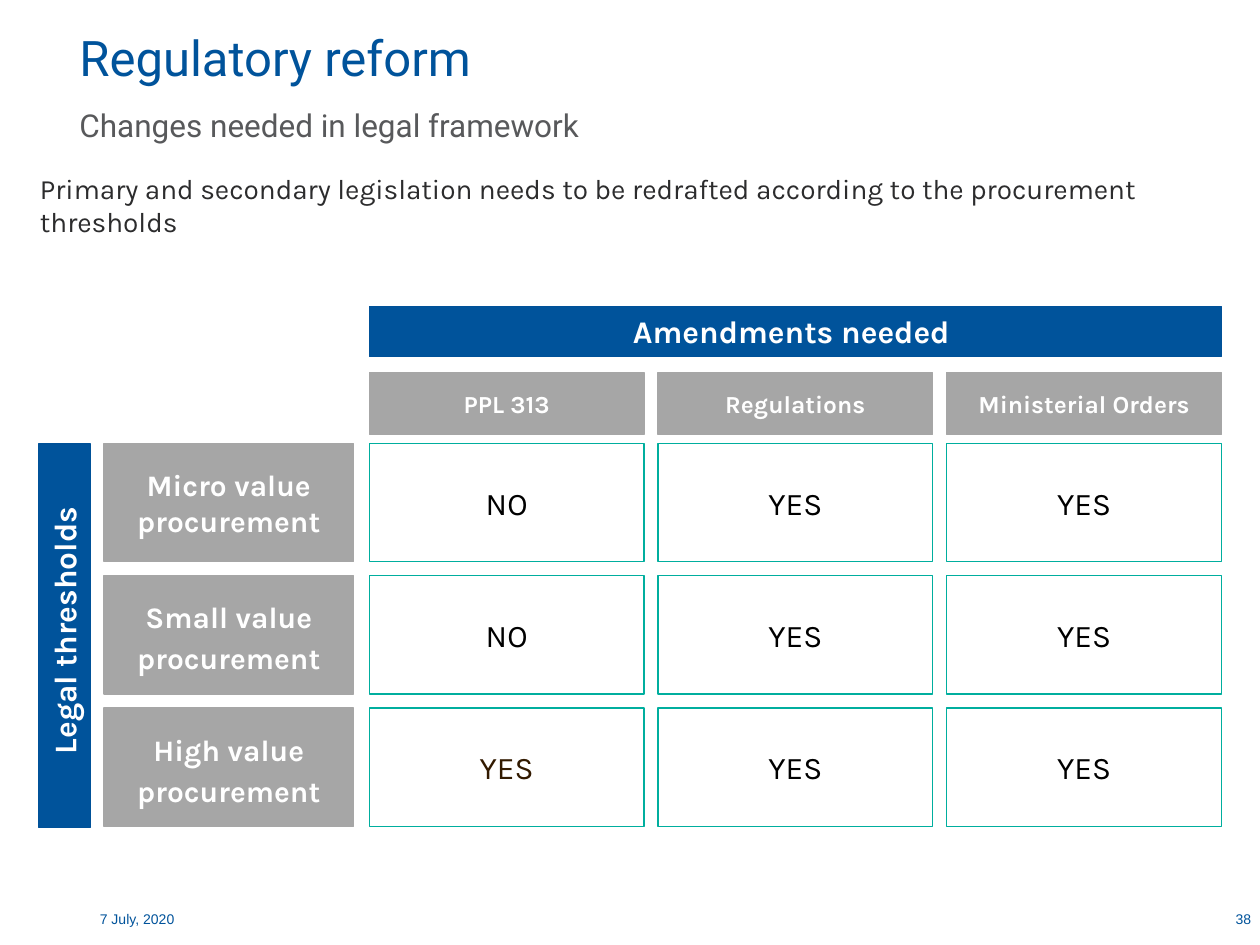
from dataclasses import dataclass

from pptx import Presentation
from pptx.dml.color import RGBColor
from pptx.enum.shapes import MSO_SHAPE
from pptx.enum.text import MSO_ANCHOR, MSO_AUTO_SIZE, PP_ALIGN
from pptx.util import Pt

RECTANGLE = MSO_SHAPE.RECTANGLE
TOP, MIDDLE = MSO_ANCHOR.TOP, MSO_ANCHOR.MIDDLE
LEFT, CENTER, RIGHT = PP_ALIGN.LEFT, PP_ALIGN.CENTER, PP_ALIGN.RIGHT

BLUE, DARK_BLUE, GREY, TEAL = "00539B", "005198", "A6A6A6", "00AE9E"
WHITE, BLACK, BROWN = "FFFFFF", "000000", "321A00"
TITLE_ONLY = 5

COLUMN_LEFT, COLUMN_STEP, COLUMN_WIDTH = 211, 165, 157
ROW_TOP, ROW_STEP, ROW_HEIGHT = 253.4, 75.6, 67.7
LABEL_LEFT, LABEL_WIDTH = 59.5, 142.5
HEADING_TOP, HEADING_HEIGHT = 213, 35.3


@dataclass
class Area:
    left: float
    top: float
    width: float
    height: float

    def lengths(self) -> tuple:
        return Pt(self.left), Pt(self.top), Pt(self.width), Pt(self.height)


@dataclass
class Threshold:
    label: str
    answers: tuple
    line_spacing: float = 1.15
    first_color: str = BLACK


HEADINGS = ("PPL 313", "Regulations", "Ministerial Orders")
THRESHOLDS = (
    Threshold("Micro value procurement", ("NO", "YES", "YES"), line_spacing=1.0),
    Threshold("Small value procurement", ("NO", "YES", "YES")),
    Threshold("High value procurement", ("YES", "YES", "YES"), first_color=BROWN),
)


def rgb(value: str) -> RGBColor:
    return RGBColor.from_string(value)


def write(box, text: str, *, size: float, color: str, font: str = "Karla",
          bold: bool = False, align=LEFT, anchor=MIDDLE,
          margins: tuple = (7.2, 3.6, 7.2, 3.6), line_spacing: float = 1.0,
          before: float = 0, after: float = 0) -> None:
    """Margins run left, top, right, bottom."""
    frame = box.text_frame
    frame.word_wrap = True
    frame.auto_size = MSO_AUTO_SIZE.NONE
    frame.vertical_anchor = anchor
    (frame.margin_left, frame.margin_top,
     frame.margin_right, frame.margin_bottom) = map(Pt, margins)
    para = frame.paragraphs[0]
    para.alignment = align
    para.line_spacing = line_spacing
    para.space_before, para.space_after = Pt(before), Pt(after)
    span = para.add_run()
    span.text = text
    span.font.name, span.font.size, span.font.bold = font, Pt(size), bold
    span.font.color.rgb = rgb(color)


def add_text(page, area: Area, text: str, **style) -> None:
    write(page.shapes.add_textbox(*area.lengths()), text, **style)


def add_block(page, area: Area, text: str, *, fill: str, line: str,
              rotation: float = 0, **style) -> None:
    box = page.shapes.add_shape(RECTANGLE, *area.lengths())
    box.shadow.inherit = False
    box.rotation = rotation
    box.fill.solid()
    box.fill.fore_color.rgb = rgb(fill)
    box.line.color.rgb = rgb(line)
    box.line.width = Pt(0.75)
    write(box, text, align=CENTER, after=6, **style)


def add_matrix(page) -> None:
    banner = dict(fill=BLUE, line=DARK_BLUE, size=18, color=WHITE, bold=True, anchor=TOP)
    label = dict(fill=GREY, line=GREY, color=WHITE, bold=True)
    lefts = [COLUMN_LEFT + COLUMN_STEP * column for column in range(len(HEADINGS))]

    add_block(page, Area(-72.7, 348.5, 219, 29.5), "Legal thresholds", rotation=270,
              before=6, margins=(13, 3.6, 7.2, 3.6), **banner)
    add_block(page, Area(COLUMN_LEFT, 175, lefts[-1] + COLUMN_WIDTH - COLUMN_LEFT, 28.8),
              "Amendments needed ", **banner)
    for left, heading in zip(lefts, HEADINGS):
        add_block(page, Area(left, HEADING_TOP, COLUMN_WIDTH, HEADING_HEIGHT), heading,
                  size=14, **label)

    for row, threshold in enumerate(THRESHOLDS):
        top = ROW_TOP + ROW_STEP * row
        add_block(page, Area(LABEL_LEFT, top, LABEL_WIDTH, ROW_HEIGHT), threshold.label,
                  size=17, before=6, line_spacing=threshold.line_spacing, **label)
        for column, answer in enumerate(threshold.answers):
            color = BLACK if column else threshold.first_color
            add_block(page, Area(lefts[column], top, COLUMN_WIDTH, ROW_HEIGHT), answer,
                      fill=WHITE, line=TEAL, size=18, color=color)


def main() -> None:
    deck = Presentation()
    deck.slide_width, deck.slide_height = Pt(720), Pt(540)
    page = deck.slides.add_slide(deck.slide_layouts[TITLE_ONLY])

    title = page.shapes.title
    title.left, title.top, title.width, title.height = Area(45.4, 8, 550, 49).lengths()
    write(title, "Regulatory reform", size=28, color=BLUE, font="Roboto",
          margins=(0, 0, 0, 0))
    add_text(page, Area(45.4, 57, 607, 29), "Changes needed in legal framework",
             size=18, color="58595B", font="Roboto", anchor=TOP, margins=(0, 3.6, 0, 3.6))
    add_text(page, Area(15.8, 94.3, 684, 46),
             "Primary and secondary legislation needs to be redrafted "
             "according to the procurement thresholds",
             size=16, color="2C2C2D", anchor=TOP)

    add_matrix(page)

    footer = dict(size=8, color=BLUE, font="Arial", margins=(0, 0, 0, 0))
    add_text(page, Area(57, 510.5, 147.6, 29.5), "7 July, 2020", **footer)
    add_text(page, Area(687, 510.5, 28, 29.5), "38", align=RIGHT, **footer)

    deck.save("out.pptx")


if __name__ == "__main__":
    main()
